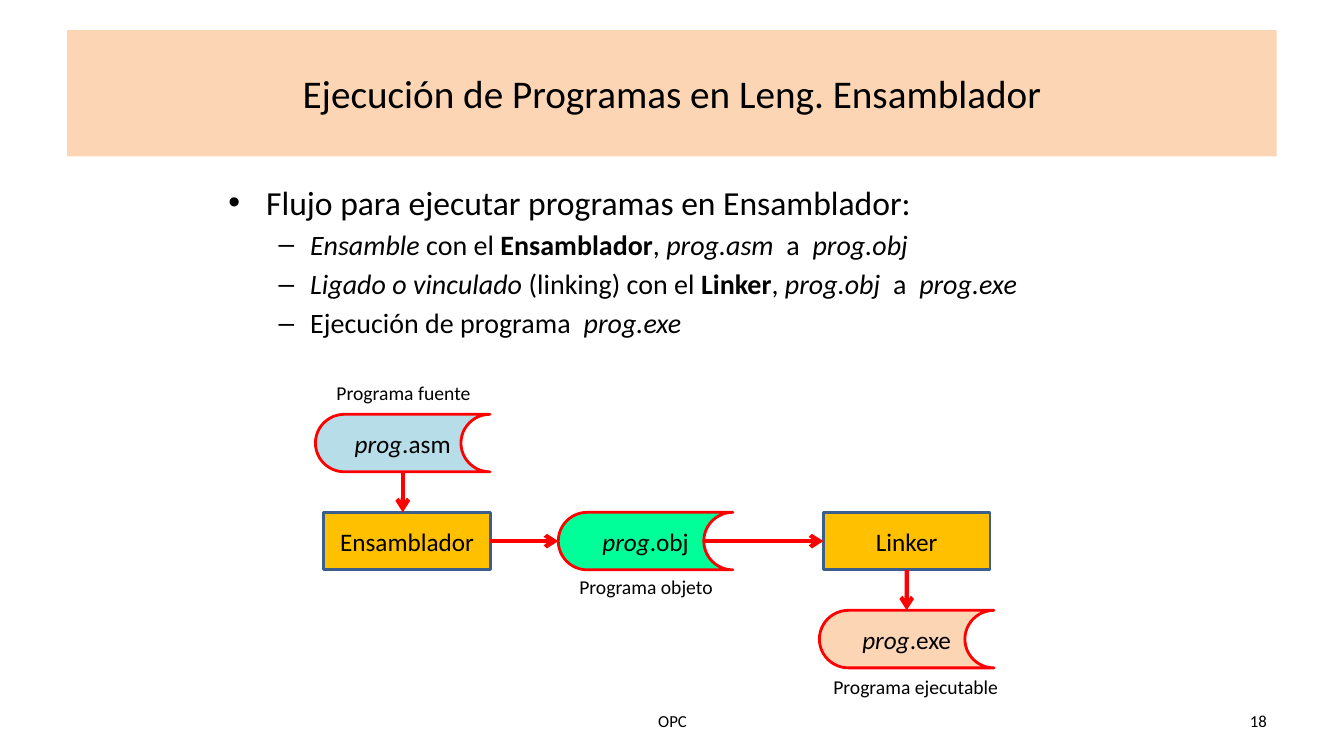
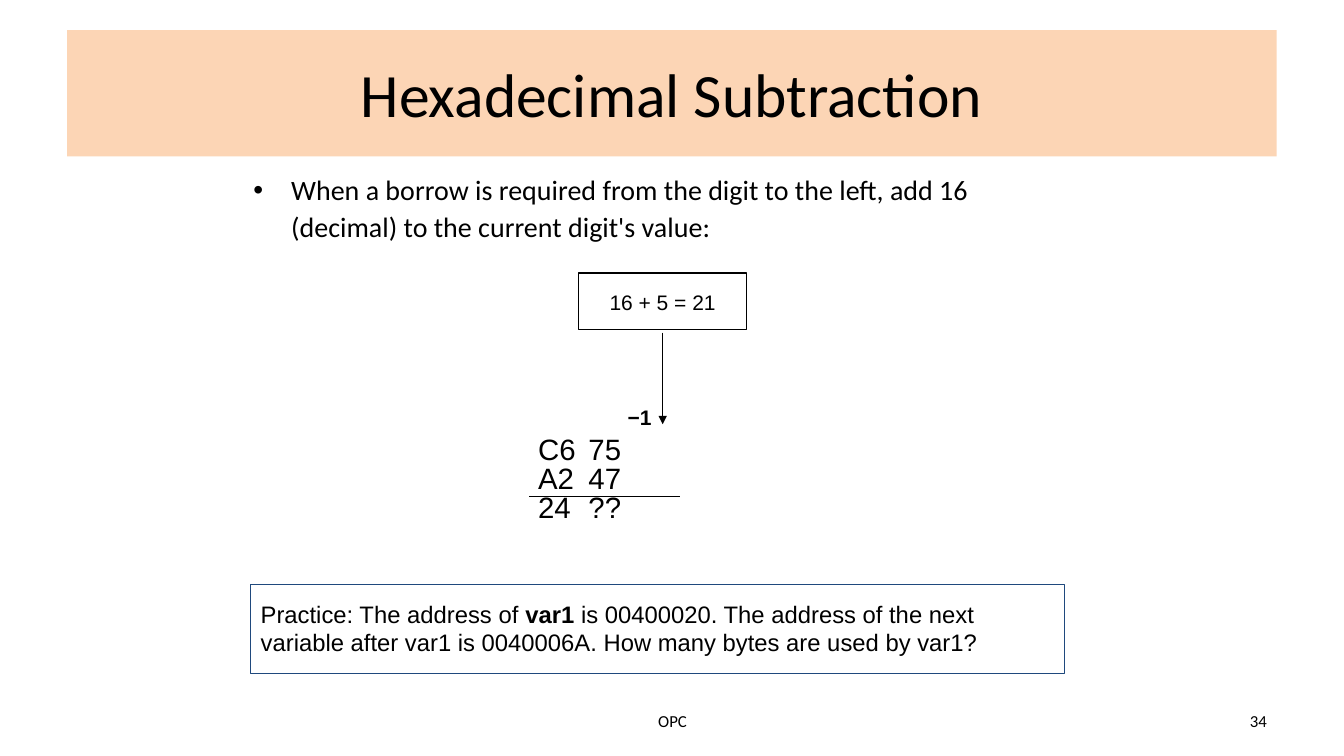
import pptx
import pptx.util
import pptx.dml.color
import pptx.enum.shapes
import pptx.enum.text
import pptx.oxml.ns
from lxml import etree

Cm, Pt = pptx.util.Cm, pptx.util.Pt
RGB = pptx.dml.color.RGBColor
MSO = pptx.enum.shapes.MSO_SHAPE
STRAIGHT = pptx.enum.shapes.MSO_CONNECTOR.STRAIGHT
ALIGN = pptx.enum.text.PP_ALIGN
ANCHOR = pptx.enum.text.MSO_ANCHOR
AUTO = pptx.enum.text.MSO_AUTO_SIZE
qn = pptx.oxml.ns.qn

BLACK = RGB(0x00, 0x00, 0x00)
PEACH = RGB(0xFC, 0xD5, 0xB5)
SKY = RGB(0xB7, 0xDE, 0xE8)
GREEN = RGB(0x00, 0xFF, 0x99)
AMBER = RGB(0xFF, 0xC0, 0x00)
RED = RGB(0xFF, 0x00, 0x00)
STEEL = RGB(0x3A, 0x5F, 0x8C)
NAVY = RGB(0x1F, 0x49, 0x7D)

TITLE_BOX = (1.69, 0.76, 30.48, 3.18)
FOOTER_BOX = (11.59, 17.65, 10.72, 1.01)
NUMBER_BOX = (24.28, 17.65, 7.9, 1.01)
FOOTER = "OPC"

FLOW_TITLE = "Ejecución de Programas en Leng. Ensamblador"
FLOW_BODY_BOX = (5.5, 4.45, 22.86, 13.02)
FLOW_HEAD = [[("Flujo para ejecutar programas en Ensamblador:", "")]]
FLOW_STEPS = [
    [("Ensamble", "i"), (" con el ", ""), ("Ensamblador", "b"), (", ", ""),
     ("prog.asm", "i"), ("  a  ", ""), ("prog.obj", "i")],
    [("Ligado o vinculado", "i"), (" (linking) con el ", ""), ("Linker", "b"),
     (", ", ""), ("prog.obj", "i"), ("  a  ", ""), ("prog.exe", "i")],
    [("Ejecución de programa  ", ""), ("prog.exe", "i")],
]
ROW_TOP, ROW_PITCH, NODE_H = 10.44, 2.47, 1.45
FILE = (MSO.FLOWCHART_STORED_DATA, 4.4, RED)
TOOL = (MSO.FLOWCHART_PROCESS, 4.2, STEEL)
NODES = {
    "asm": (FILE, 7.95, 0, SKY, [("prog", "i"), (".asm", "")]),
    "assembler": (TOOL, 8.16, 1, AMBER, [("Ensamblador", "")]),
    "obj": (FILE, 14.07, 1, GREEN, [("prog", "i"), (".obj", "")]),
    "linker": (TOOL, 20.75, 1, AMBER, [("Linker", "")]),
    "exe": (FILE, 20.65, 2, PEACH, [("prog", "i"), (".exe", "")]),
}
LABELS = [
    ("Programa fuente", (8.23, 9.47, 4.09, 0.86)),
    ("Programa objeto", (14.35, 14.35, 4.09, 0.86)),
    ("Programa ejecutable", (20.75, 16.87, 4.7, 0.86)),
]

HEX_TITLE = "Hexadecimal Subtraction"
HEX_BODY_BOX = (6.13, 4.14, 19.68, 2.12)
HEX_BODY = [[("When a borrow is required from the digit to the left, add 16 "
              "(decimal) to the current digit's value:", "")]]
DIGITS = [[("C6\t75", "")], [("A2\t47", "")], [("24\t??", "")]]
DIGITS_BOX = (13.31, 10.95, 4.88, 2.82)
BORROW = [[("−1", "b")]]
BORROW_BOX = (15.57, 9.88, 1.47, 1.42)
SUM = [[("16 + 5 = 21", "")]]
SUM_BOX = (14.58, 6.88, 4.24, 1.42)
PRACTICE = [[("Practice: The address of ", ""), ("var1", "b"),
             (" is 00400020. The address of the next variable after var1 is "
              "0040006A. How many bytes are used by var1?", "")]]
PRACTICE_BOX = (6.32, 14.73, 20.52, 2.24)


def cm(*values):
    return [Cm(v) for v in values]


def write(p, runs, size, font="Calibri", align=None, spacing=None):
    p.alignment = align
    p.line_spacing = spacing
    for text, style in runs:
        r = p.add_run()
        r.text = text
        r.font.size = Pt(size)
        r.font.name = font
        r.font.color.rgb = BLACK
        r.font.bold = style == "b"
        r.font.italic = style == "i"


def write_all(tf, paragraphs, size, **style):
    for n, runs in enumerate(paragraphs):
        p = tf.add_paragraph() if n else tf.paragraphs[0]
        write(p, runs, size, **style)


def half_space_before(p):
    p.space_before = Pt(0)
    before = p._p.pPr.find(qn("a:spcBef"))
    before.remove(before[0])
    etree.SubElement(before, qn("a:spcPct"), val="50000")


def place(sp, box):
    sp.left, sp.top, sp.width, sp.height = cm(*box)


def add_text(slide, box, paragraphs, size, anchor=ANCHOR.TOP, **style):
    sp = slide.shapes.add_textbox(*cm(*box))
    sp.text_frame.word_wrap = True
    sp.text_frame.vertical_anchor = anchor
    write_all(sp.text_frame, paragraphs, size, **style)
    return sp


def add_note(slide, box, paragraphs, size, line=None, **style):
    sp = add_text(slide, box, paragraphs, size, font="Arial", **style)
    tf = sp.text_frame
    tf.margin_top = tf.margin_bottom = Cm(0.38)
    for p in tf.paragraphs:
        half_space_before(p)
    if line is not None:
        sp.line.color.rgb = line
        sp.line.width = Pt(0.75)


def add_line(slide, start, end, color, width, head=None):
    c = slide.shapes.add_connector(STRAIGHT, *start, *end)
    c.line.color.rgb = color
    c.line.width = Pt(width)
    if head:
        etree.SubElement(c.line._get_or_add_ln(), qn("a:tailEnd"), type=head)
    etree.SubElement(c._element.spPr, qn("a:effectLst"))
    return c


def add_slide(prs, title, title_size, body_box, number):
    slide = prs.slides.add_slide(prs.slide_layouts[1])
    sp = slide.shapes.title
    place(sp, TITLE_BOX)
    sp.fill.solid()
    sp.fill.fore_color.rgb = PEACH
    sp.text_frame.auto_size = AUTO.NONE
    sp.text_frame.vertical_anchor = ANCHOR.MIDDLE
    write_all(sp.text_frame, [[(title, "")]], title_size, align=ALIGN.CENTER)
    body = slide.placeholders[1]
    place(body, body_box)
    body.text_frame.auto_size = AUTO.NONE
    for box, text, align in ((FOOTER_BOX, FOOTER, ALIGN.CENTER),
                             (NUMBER_BOX, number, ALIGN.RIGHT)):
        add_text(slide, box, [[(text, "")]], 12, ANCHOR.MIDDLE, align=align)
    return slide, body.text_frame


def add_node(slide, kind, left, row, fill, runs):
    shape, width, line = kind
    box = cm(left, ROW_TOP + row * ROW_PITCH, width, NODE_H)
    sp = slide.shapes.add_shape(shape, *box)
    sp.shadow.inherit = False
    sp.fill.solid()
    sp.fill.fore_color.rgb = fill
    sp.line.color.rgb = line
    sp.line.width = Pt(2)
    sp.text_frame.vertical_anchor = ANCHOR.MIDDLE
    write_all(sp.text_frame, [runs], 18, align=ALIGN.CENTER)
    return sp


def build_flow(prs):
    slide, tf = add_slide(prs, FLOW_TITLE, 28, FLOW_BODY_BOX, "18")
    write_all(tf, FLOW_HEAD, 24)
    for runs in FLOW_STEPS:
        p = tf.add_paragraph()
        p.level = 1
        write(p, runs, 20)

    nodes = {name: add_node(slide, *node) for name, node in NODES.items()}
    asm, assembler, obj, linker, exe = nodes.values()

    def middle(sp):
        return sp.left + sp.width // 2, sp.top + sp.height // 2

    x, y = middle(asm)[0], middle(obj)[1]
    out_x = obj.left + obj.width * 5 // 6
    end_x = middle(linker)[0]
    into_assembler = add_line(slide, (x, asm.top + asm.height),
                              (x, assembler.top), RED, 3, "arrow")
    into_obj = add_line(slide, (assembler.left + assembler.width, y),
                        (obj.left, y), RED, 3, "arrow")
    into_linker = add_line(slide, (out_x, y), (linker.left, y), RED, 3, "arrow")
    into_exe = add_line(slide, (end_x, linker.top + linker.height),
                        (end_x, exe.top), RED, 3, "arrow")
    into_assembler.begin_connect(asm, 2)
    into_obj.begin_connect(assembler, 3)
    into_obj.end_connect(obj, 1)
    into_linker.end_connect(linker, 1)
    into_exe.begin_connect(linker, 2)
    into_exe.end_connect(exe, 0)

    for text, box in LABELS:
        add_text(slide, box, [[(text, "")]], 14)


def build_hex(prs):
    slide, tf = add_slide(prs, HEX_TITLE, 44, HEX_BODY_BOX, "34")
    write_all(tf, HEX_BODY, 20, spacing=1.1)
    add_note(slide, DIGITS_BOX, DIGITS, 21, spacing=0.4)
    add_line(slide, cm(13.34, 12.52), cm(17.15, 12.52), BLACK, 0.75)
    add_note(slide, BORROW_BOX, BORROW, 15)
    add_line(slide, cm(16.7, 8.38), cm(16.7, 10.69), BLACK, 0.75, "triangle")
    add_note(slide, SUM_BOX, SUM, 15, BLACK, align=ALIGN.CENTER, spacing=1.1)
    add_note(slide, PRACTICE_BOX, PRACTICE, 17, NAVY)


def main():
    prs = pptx.Presentation()
    prs.slide_width, prs.slide_height = cm(33.87, 19.05)
    build_flow(prs)
    build_hex(prs)
    prs.save("out.pptx")


if __name__ == "__main__":
    main()
